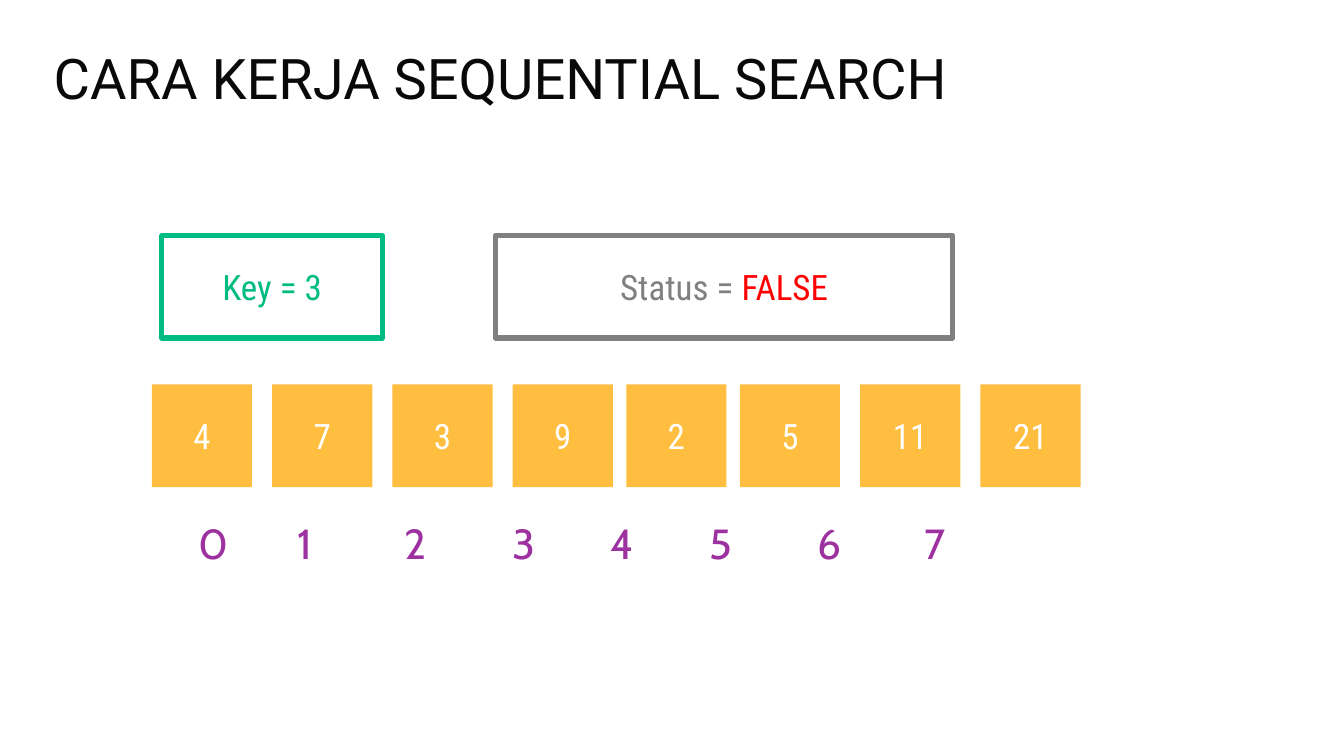
from itertools import accumulate

from lxml.etree import SubElement
from pptx import Presentation
from pptx.dml.color import RGBColor
from pptx.enum.shapes import MSO_SHAPE as Shape
from pptx.enum.text import MSO_ANCHOR as Anchor, PP_ALIGN as Align
from pptx.oxml.ns import qn
from pptx.util import Inches, Pt

BLACK = RGBColor(0x09, 0x09, 0x09)
WHITE = RGBColor(0xFF, 0xFF, 0xFF)
AMBER = RGBColor(0xFF, 0xBE, 0x40)
GREEN = RGBColor(0x00, 0xBC, 0x82)
GRAY = RGBColor(0x80, 0x80, 0x80)
RED = RGBColor(0xFF, 0x00, 0x00)
PURPLE = RGBColor(0x9C, 0x31, 0x9F)

VALUES = [4, 7, 3, 9, 2, 5, 11, 21]
COLUMN, FIRST_LEFT, NUDGE = 1.79, 2.26, 0.1
CELL_WIDTH, CELL_HEIGHT = 1.49, 1.53
STATUS_ROW, VALUE_ROW, INDEX_ROW = 3.51, 5.72, 7.58
FRAME_HEIGHT = 1.52
NARROW_GAP, WIDE_GAP = 1.47, 1.6
INDEX_GAPS = [NARROW_GAP, WIDE_GAP, WIDE_GAP, NARROW_GAP, NARROW_GAP, WIDE_GAP, WIDE_GAP]

presentation = Presentation()
presentation.slide_width = Inches(20)
presentation.slide_height = Inches(11.25)
slide = presentation.slides.add_slide(presentation.slide_layouts[6])


def add_label(left, top, width, height, text, size, font_name, color, spacing):
    box = slide.shapes.add_textbox(Inches(left), Inches(top), Inches(width), Inches(height))
    frame = box.text_frame
    frame.word_wrap = True
    frame.margin_left = frame.margin_right = frame.margin_top = frame.margin_bottom = 0
    paragraph = frame.paragraphs[0]
    paragraph.text = text
    paragraph.line_spacing = Pt(spacing)
    return paragraph, (size, font_name, color)


def add_box(left, top, width, height, parts, fill=None, line=None):
    shape = slide.shapes.add_shape(
        Shape.RECTANGLE, Inches(left), Inches(top), Inches(width), Inches(height))
    shape.shadow.inherit = False
    if fill is None:
        shape.fill.background()
        shape.line.color.rgb = line
        shape.line.width = Pt(5.4)
    else:
        shape.fill.solid()
        shape.fill.fore_color.rgb = fill
        shape.line.fill.background()
    frame = shape.text_frame
    frame.word_wrap = True
    frame.vertical_anchor = Anchor.MIDDLE
    frame.margin_left = frame.margin_right = frame.margin_top = frame.margin_bottom = Inches(0.06)
    paragraph = frame.paragraphs[0]
    paragraph.alignment = Align.CENTER
    paragraph.line_spacing = Pt(45)
    paragraph.font.size = Pt(37.5)
    paragraph.font.name = "Roboto Condensed"
    for text, color in parts:
        run = paragraph.add_run()
        run.text = text
        run.font.color.rgb = color


title = add_label(0.8, 0.64, 16.74, 1.02, "CARA KERJA SEQUENTIAL SEARCH", 60, "Roboto", BLACK, 72)

for index, value in enumerate(VALUES):
    left = FIRST_LEFT + index * COLUMN - NUDGE * min(max(index - 3, 0), 2)
    add_box(left, VALUE_ROW, CELL_WIDTH, CELL_HEIGHT, [(str(value), WHITE)], fill=AMBER)

add_box(2.41, STATUS_ROW, 3.28, FRAME_HEIGHT, [("Key = 3", GREEN)], line=GREEN)
add_box(7.37, STATUS_ROW, 6.81, FRAME_HEIGHT, [("Status = ", GRAY), ("FALSE", RED)], line=GRAY)

indices = add_label(2.95, INDEX_ROW, 12.75, 0.82,
                    "\t".join(str(index) for index in range(len(VALUES))),
                    45, "Cabin", PURPLE, 62.9)
tab_list = SubElement(indices[0]._p.get_or_add_pPr(), qn("a:tabLst"))
for position in accumulate(INDEX_GAPS):
    SubElement(tab_list, qn("a:tab"), pos=str(Inches(position)), algn="l")

for paragraph, (size, font_name, color) in (title, indices):
    paragraph.font.size = Pt(size)
    paragraph.font.name = font_name
    paragraph.font.color.rgb = color

presentation.save("out.pptx")
